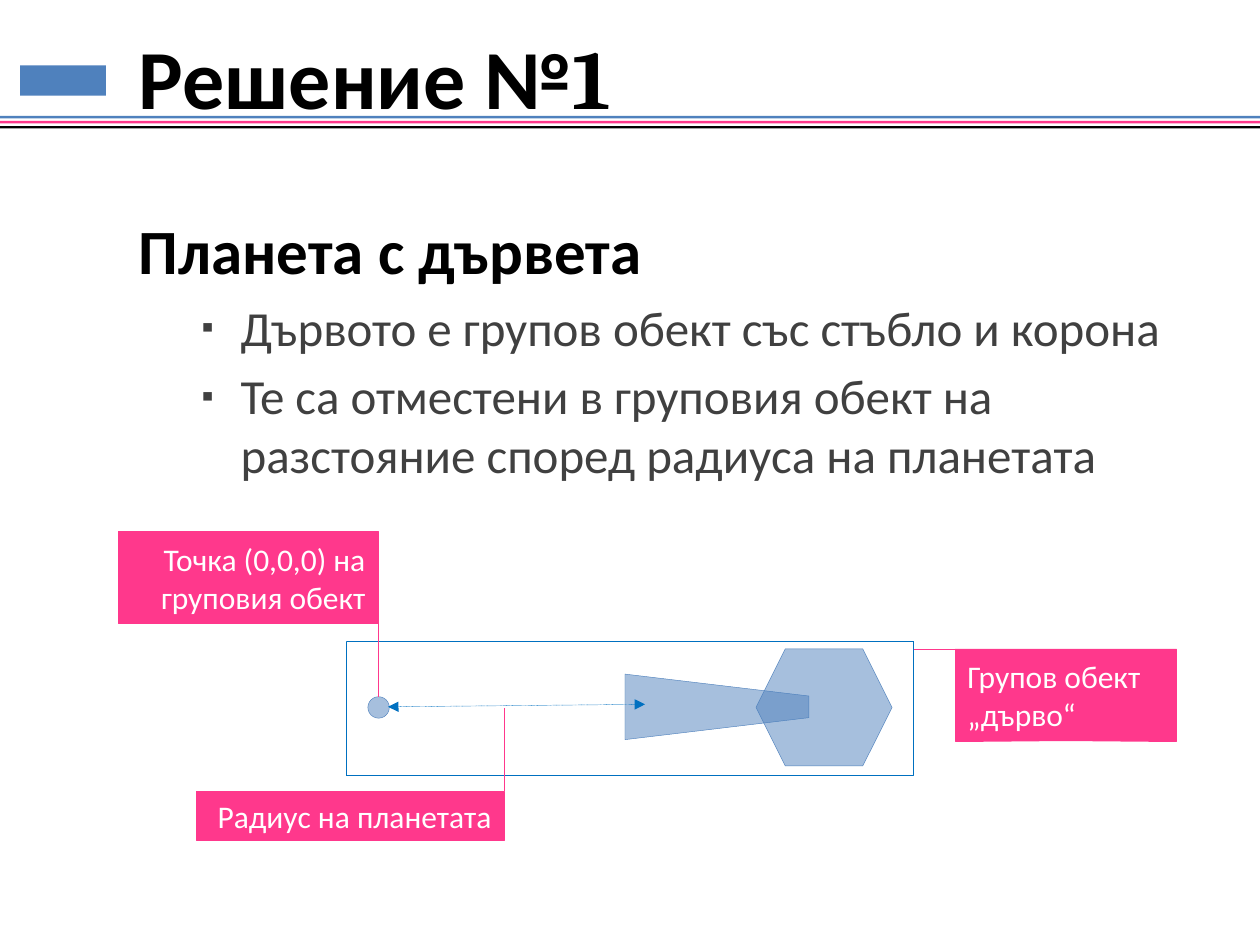
from lxml.etree import SubElement
from pptx import Presentation
from pptx.dml.color import RGBColor
from pptx.enum.dml import MSO_LINE
from pptx.enum.shapes import MSO_CONNECTOR, MSO_SHAPE as SHAPE
from pptx.enum.text import MSO_ANCHOR as ANCHOR, MSO_AUTO_SIZE, PP_ALIGN as ALIGN
from pptx.oxml.ns import qn
from pptx.util import Inches, Pt

BLUE, PINK, BLACK = "4F81BD", "FF388C", "000000"
GREY, WHITE, MARINE = "404040", "FFFFFF", "0070C0"


def rgb(value):
    return RGBColor.from_string(value)


class SlideBuilder:
    """Holds the current slide and its common style."""

    font = "Calibri"
    hairline = Pt(0.25)

    def __init__(self, slide):
        self.slide = slide

    def style(self, paragraph, size, color, bold=False, align=ALIGN.LEFT):
        paragraph.alignment = align
        font = paragraph.font
        font.name, font.size, font.bold = self.font, Pt(size), bold
        font.color.rgb = rgb(color)

    def place(self, holder, left, top, width, height):
        holder.left, holder.top = Inches(left), Inches(top)
        holder.width, holder.height = Inches(width), Inches(height)
        holder.text_frame.auto_size = MSO_AUTO_SIZE.NONE
        return holder.text_frame

    def indent(self, paragraph, margin, hanging=0, bullet=None):
        """Set the indents in inches, and the bullet or its absence."""
        props = paragraph._p.get_or_add_pPr()
        props.set("marL", str(Inches(margin)))
        props.set("indent", str(-Inches(hanging)))
        if not bullet:
            SubElement(props, qn("a:buNone"))
            return
        color = SubElement(props, qn("a:buClr"))
        SubElement(color, qn("a:srgbClr"), val=GREY)
        SubElement(props, qn("a:buSzPct"), val="70000")
        SubElement(props, qn("a:buChar"), char=bullet)

    def title(self, text, number):
        frame = self.place(self.slide.shapes.title, 0, 0.25, 10, 0.71)
        frame.vertical_anchor = ANCHOR.MIDDLE
        paragraph = frame.paragraphs[0]
        paragraph.add_run().text = text
        digit = paragraph.add_run()
        digit.text = number
        digit.font.name = "Cambria"
        self.style(paragraph, 48, BLACK, bold=True)
        self.indent(paragraph, 1)

    def body(self, heading, points):
        frame = self.place(self.slide.placeholders[1], 1, 1.33, 8.92, 6.08)
        first = frame.paragraphs[0]
        first.text = heading
        first.line_spacing = 1.5
        self.style(first, 36, BLACK, bold=True)
        self.indent(first, 0)
        for point in points:
            paragraph = frame.add_paragraph()
            paragraph.text, paragraph.level = point, 1
            self.style(paragraph, 28, GREY)
            self.indent(paragraph, 0.81, 0.31, "▪")

    def shape(self, kind, left, top, width, height, fill=None, line=None, alpha=None):
        shape = self.slide.shapes.add_shape(
            kind, Inches(left), Inches(top), Inches(width), Inches(height))
        shape.shadow.inherit = False
        if fill:
            shape.fill.solid()
            shape.fill.fore_color.rgb = rgb(fill)
        else:
            shape.fill.background()
        if alpha:
            color = shape.fill._xPr.find(qn("a:solidFill"))[0]
            SubElement(color, qn("a:alpha"), val=str(alpha * 1000))
        if line:
            shape.line.color.rgb = rgb(line)
            shape.line.width = self.hairline
        else:
            shape.line.fill.background()
        return shape

    def glass(self, kind, *box):
        """A half-transparent part of the model."""
        return self.shape(kind, *box, fill=BLUE, line=BLUE, alpha=50)

    def connector(self, start, end, color, arrows=False):
        line = self.slide.shapes.add_connector(
            MSO_CONNECTOR.STRAIGHT, *map(Inches, start + end))
        line.line.color.rgb = rgb(color)
        line.line.width = self.hairline
        if arrows:
            line.line.dash_style = MSO_LINE.ROUND_DOT
            for end_tag in ("a:headEnd", "a:tailEnd"):
                SubElement(line.line._get_or_add_ln(), qn(end_tag), type="triangle")
        SubElement(line._element.spPr, qn("a:effectLst"))

    def callout(self, text, box, start, end, align=ALIGN.RIGHT):
        label = self.shape(SHAPE.RECTANGLE, *box, fill=PINK, line=PINK)
        frame = label.text_frame
        frame.word_wrap = True
        frame.vertical_anchor = ANCHOR.MIDDLE
        frame.text = text
        self.style(frame.paragraphs[0], 18, WHITE, align=align)
        self.connector(start, end, PINK)


def main():
    deck = Presentation()
    deck.slide_width, deck.slide_height = Inches(10), Inches(7.5)
    page = SlideBuilder(deck.slides.add_slide(deck.slide_layouts[1]))

    page.shape(SHAPE.RECTANGLE, 0.16, 0.52, 0.68, 0.24, fill=BLUE)
    for row, color in enumerate((BLUE, PINK, BLACK)):
        page.shape(SHAPE.RECTANGLE, -0.08, 0.92 + 0.04 * row, 10.17, 0.02, fill=color)

    page.title("Решение №", "1")
    page.body("Планета с дървета", [
        "Дървото е групов обект със стъбло и корона",
        "Те са отместени в груповия обект на разстояние според радиуса на планетата",
    ])

    trunk = page.glass(SHAPE.TRAPEZOID, 5.43, 4.88, 0.52, 1.46)
    trunk.rotation = 90
    trunk.adjustments[0] = 0.335
    page.glass(SHAPE.HEXAGON, 6, 5.15, 1.08, 0.93)
    group_frame = page.shape(SHAPE.RECTANGLE, 2.75, 5.09, 4.5, 1.06, line=MARINE)
    group_frame.line.dash_style = MSO_LINE.ROUND_DOT
    page.callout("Групов обект „дърво“", (7.58, 5.15, 1.76, 0.73),
                 (7.25, 5.15), (8.77, 5.15), ALIGN.LEFT)
    page.glass(SHAPE.OVAL, 2.92, 5.53, 0.17, 0.17)
    page.callout("Точка (0,0,0) на груповия обект", (0.94, 4.22, 2.06, 0.73),
                 (3, 4.22), (3, 5.53))
    page.connector((3.08, 5.61), (5.12, 5.59), MARINE, arrows=True)
    page.callout("Радиус на планетата", (1.56, 6.28, 2.44, 0.39),
                 (4, 6.28), (4, 5.62))

    deck.save("out.pptx")


if __name__ == "__main__":
    main()
